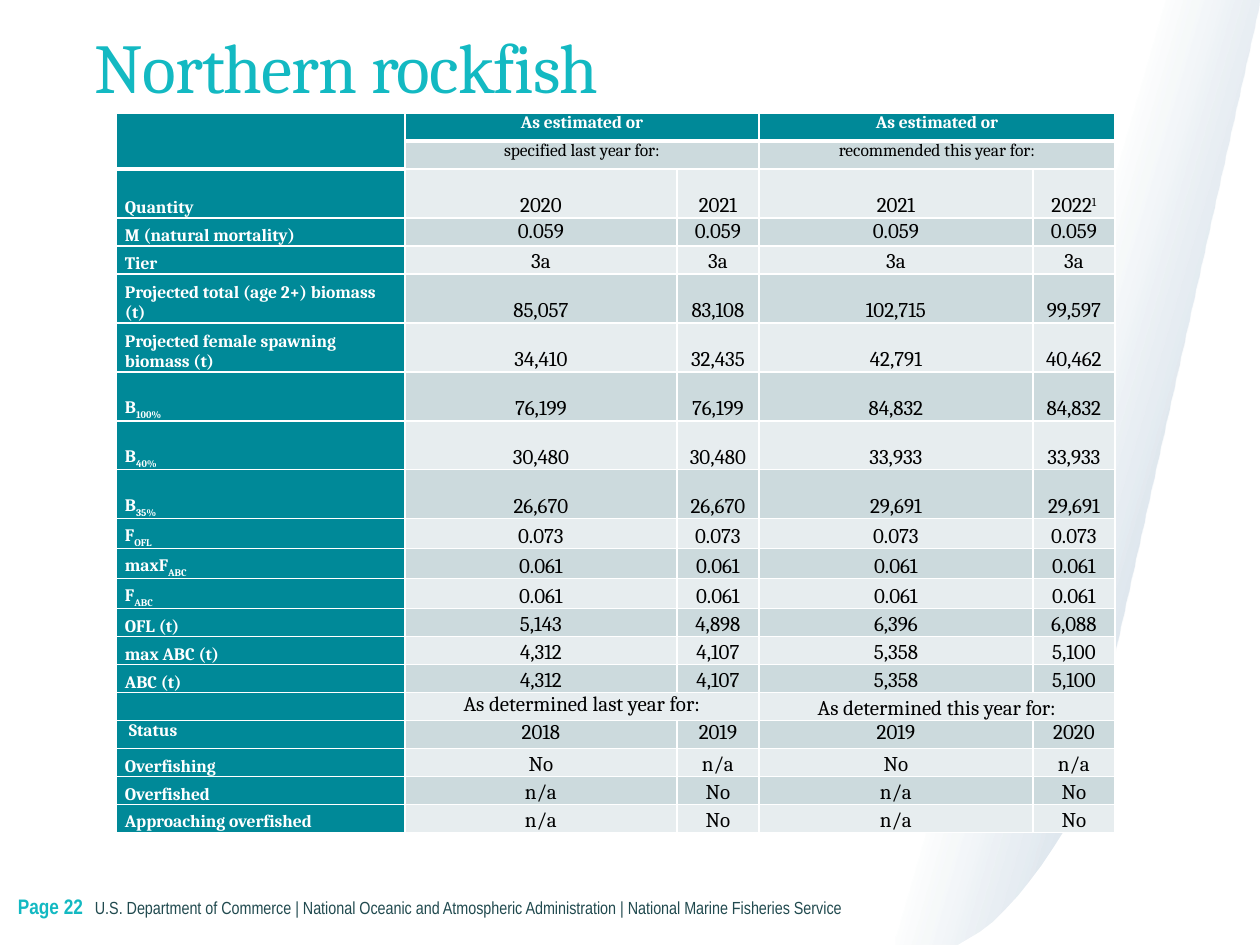
"""Build the Northern rockfish assessment summary slide."""
from dataclasses import dataclass

from lxml import etree
from pptx import Presentation
from pptx.dml.color import RGBColor
from pptx.enum.text import MSO_ANCHOR, PP_ALIGN
from pptx.oxml.ns import qn
from pptx.util import Pt

TOP, MIDDLE, BOTTOM = MSO_ANCHOR.TOP, MSO_ANCHOR.MIDDLE, MSO_ANCHOR.BOTTOM
LEFT, CENTER = PP_ALIGN.LEFT, PP_ALIGN.CENTER
SCALE = 914400 / 126
TITLE_ONLY = 5
BASELINES = {"_": "-25000", "^": "30000"}
SIDES = ("L", "R", "T", "B")


@dataclass(frozen=True)
class Theme:
    """Colours, fonts and type sizes of the deck."""
    accent: str = "13B9C2"
    footer: str = "214A4F"
    swoosh: str = "07477D"
    header: str = "008998"
    bands: tuple = ("E7EDEF", "CCDADD")
    white: str = "FFFFFF"
    black: str = "000000"
    serif: str = "Cambria"
    narrow: str = "Arial Narrow"
    title_size: int = 40
    value_size: int = 12
    small_size: int = 10


ROWS = [
    ("", "As estimated or", "", "As estimated or", ""),
    ("", "specified last year for:", "", "recommended this year for:", ""),
    ("Quantity", "2020", "2021", "2021", "2022^1"),
    ("M (natural mortality)", "0.059", "0.059", "0.059", "0.059"),
    ("Tier", "3a", "3a", "3a", "3a"),
    ("Projected total (age 2+) biomass (t)", "85,057", "83,108", "102,715", "99,597"),
    ("Projected female spawning biomass (t)", "34,410", "32,435", "42,791", "40,462"),
    ("B_100%", "76,199", "76,199", "84,832", "84,832"),
    ("B_40%", "30,480", "30,480", "33,933", "33,933"),
    ("B_35%", "26,670", "26,670", "29,691", "29,691"),
    ("F_OFL", "0.073", "0.073", "0.073", "0.073"),
    ("maxF_ABC", "0.061", "0.061", "0.061", "0.061"),
    ("F_ABC", "0.061", "0.061", "0.061", "0.061"),
    ("OFL (t)", "5,143", "4,898", "6,396", "6,088"),
    ("max ABC (t)", "4,312", "4,107", "5,358", "5,100"),
    ("ABC (t)", "4,312", "4,107", "5,358", "5,100"),
    ("", "As determined last year for:", "", "As determined this year for:", ""),
    ("\N{NO-BREAK SPACE}Status", "2018", "2019", "2019", "2020"),
    ("Overfishing", "No", "n/a", "No", "n/a"),
    ("Overfished", "n/a", "No", "n/a", "No"),
    ("Approaching overfished", "n/a", "No", "n/a", "No"),
]
COLUMN_WIDTHS = (289, 272, 82, 274, 82)
ROW_HEIGHTS = [28] * 2 + [49] + [28] * 2 + [49] * 5 + [30] * 3 + [28] * 8
MERGES = [((0, 0), (1, 0))] + [
    ((row, column), (row, column + 1)) for row in (0, 1, 16) for column in (1, 3)
]
ANCHORS = {(16, 0): TOP, (16, 1): TOP}
ANCHORS.update({(row, column): TOP for row in (0, 1, 17) for column in range(5)})
ANCHORS.update({(3, column): MIDDLE for column in range(1, 5)})


def px(length):
    """Turn pixels into EMU."""
    return round(length * SCALE)


def bezier(start, control_a, control_b, end, steps=30):
    """Return whole-pixel points along a cubic curve."""
    def blend(t, a, b, c, d):
        """Evaluate one coordinate of the curve."""
        s = 1 - t
        return round(s**3 * a + 3 * s * s * t * b + 3 * s * t * t * c + t**3 * d)
    return [
        tuple(blend(step / steps, *axis) for axis in zip(start, control_a, control_b, end))
        for step in range(steps + 1)
    ]


class SlideBuilder:
    """Hold the theme and the current slide, and draw each kind of element."""

    def __init__(self, presentation, theme):
        """Add a title-only slide."""
        self.theme = theme
        self.slide = presentation.slides.add_slide(presentation.slide_layouts[TITLE_ONLY])

    def format_run(self, run, size, color, font, bold=False):
        """Set the type of one run."""
        run.font.size, run.font.name, run.font.bold = Pt(size), font, bold
        run.font.color.rgb = RGBColor.from_string(color)

    def fill_frame(self, frame, text, anchor, size, color, font, bold=False):
        """Put one line of text in a frame without margins."""
        frame.margin_left = frame.margin_right = frame.margin_top = frame.margin_bottom = 0
        frame.word_wrap, frame.vertical_anchor = True, anchor
        frame.text = text
        paragraph = frame.paragraphs[0]
        paragraph.alignment = LEFT
        self.format_run(paragraph.runs[0], size, color, font, bold)
        return paragraph

    def title(self, text, box):
        """Place and format the title placeholder."""
        shape = self.slide.shapes.title
        shape.left, shape.top, shape.width, shape.height = map(px, box)
        paragraph = self.fill_frame(shape.text_frame, text, BOTTOM, self.theme.title_size,
                                    self.theme.accent, self.theme.serif)
        paragraph.line_spacing = 0.9
        paragraph.runs[0].font._element.set("spc", "-50")

    def text(self, text, box, size, color, bold=False):
        """Add a narrow text line."""
        shape = self.slide.shapes.add_textbox(*map(px, box))
        self.fill_frame(shape.text_frame, text, MIDDLE, size, color, self.theme.narrow, bold)

    def outline(self, points):
        """Add a closed shape without line or shadow."""
        builder = self.slide.shapes.build_freeform(*points[0], scale=SCALE)
        builder.add_line_segments(points[1:], close=True)
        shape = builder.convert_to_shape()
        shape.shadow.inherit = False
        shape.line.fill.background()
        return shape

    def swoosh(self, panel, edge):
        """Add the fading panel and the white area that cuts its curved edge."""
        shape = self.outline(panel)
        shape.fill.gradient()
        shape.fill.gradient_angle = 344
        for stop, position, alpha in zip(shape.fill.gradient_stops, (0.42, 1), (0, 34000)):
            stop.position = position
            stop.color.rgb = RGBColor.from_string(self.theme.swoosh)
        for color, alpha in zip(shape._element.iter(qn("a:srgbClr")), (0, 34000)):
            etree.SubElement(color, qn("a:alpha"), val=str(alpha))
        cut = self.outline(edge)
        cut.fill.solid()
        cut.fill.fore_color.rgb = RGBColor.from_string(self.theme.white)

    def borders(self, cell, bottom):
        """Draw white borders round a cell."""
        properties = cell._tc.get_or_add_tcPr()
        for side in SIDES:
            width = Pt(bottom if side == "B" else 1)
            line = etree.SubElement(properties, qn(f"a:ln{side}"), w=str(width))
            fill = etree.SubElement(line, qn("a:solidFill"))
            etree.SubElement(fill, qn("a:srgbClr"), val=self.theme.white)

    def cell(self, cell, text, row, column):
        """Style and fill one table cell according to its place."""
        theme = self.theme
        heading = row == 0 or column == 0
        size = theme.small_size if heading or row == 1 else theme.value_size
        color = theme.white if heading else theme.black
        self.borders(cell, 3 if row == 0 or (row, column) == (1, 0) else 1)
        cell.fill.solid()
        cell.fill.fore_color.rgb = RGBColor.from_string(
            theme.header if heading else theme.bands[row % 2])
        cell.margin_left = cell.margin_right = px(9)
        cell.margin_top = cell.margin_bottom = 0
        cell.vertical_anchor = ANCHORS.get((row, column), BOTTOM)
        paragraph = cell.text_frame.paragraphs[0]
        paragraph.alignment = CENTER if column else LEFT
        if not text:
            etree.SubElement(paragraph._p, qn("a:endParaRPr"), sz=str(size * 100))
            return
        mark = next((mark for mark in BASELINES if mark in text), None)
        for index, part in enumerate(text.split(mark) if mark else [text]):
            run = paragraph.add_run()
            run.text = part
            self.format_run(run, size, color, theme.serif, heading)
            if index:
                run.font._element.set("baseline", BASELINES[mark])

    def table(self, rows, left, top):
        """Add the assessment table."""
        box = (left, top, sum(COLUMN_WIDTHS), sum(ROW_HEIGHTS))
        table = self.slide.shapes.add_table(len(rows), len(rows[0]), *map(px, box)).table
        table.first_row = table.horz_banding = False
        for column, width in zip(table.columns, COLUMN_WIDTHS):
            column.width = px(width)
        for row, height in zip(table.rows, ROW_HEIGHTS):
            row.height = px(height)
        for row, texts in enumerate(rows):
            for column, text in enumerate(texts):
                self.cell(table.cell(row, column), text, row, column)
        for first, last in MERGES:
            table.cell(*first).merge(table.cell(*last))


def main():
    """Build and save the presentation."""
    presentation = Presentation()
    presentation.slide_width, presentation.slide_height = px(1260), px(945)
    theme = Theme()
    builder = SlideBuilder(presentation, theme)
    curve = bezier((980, 932), (1109, 837), (1213, 499), (1255, 58))
    builder.swoosh([(905, 0), (1260, 0), (1050, 945), (896, 945)],
                   [(1260, 1), (1260, 945), (958, 945), *curve])
    builder.text("U.S. Department of Commerce | National Oceanic and Atmospheric "
                 "Administration | National Marine Fisheries Service",
                 (95, 871, 922, 74), theme.small_size, theme.footer)
    builder.text("Page 22", (18, 868, 77, 77), theme.value_size, theme.accent, True)
    builder.title("Northern rockfish", (95, 26, 1128, 83))
    builder.table(ROWS, 116, 113)
    presentation.save("out.pptx")


if __name__ == "__main__":
    main()
